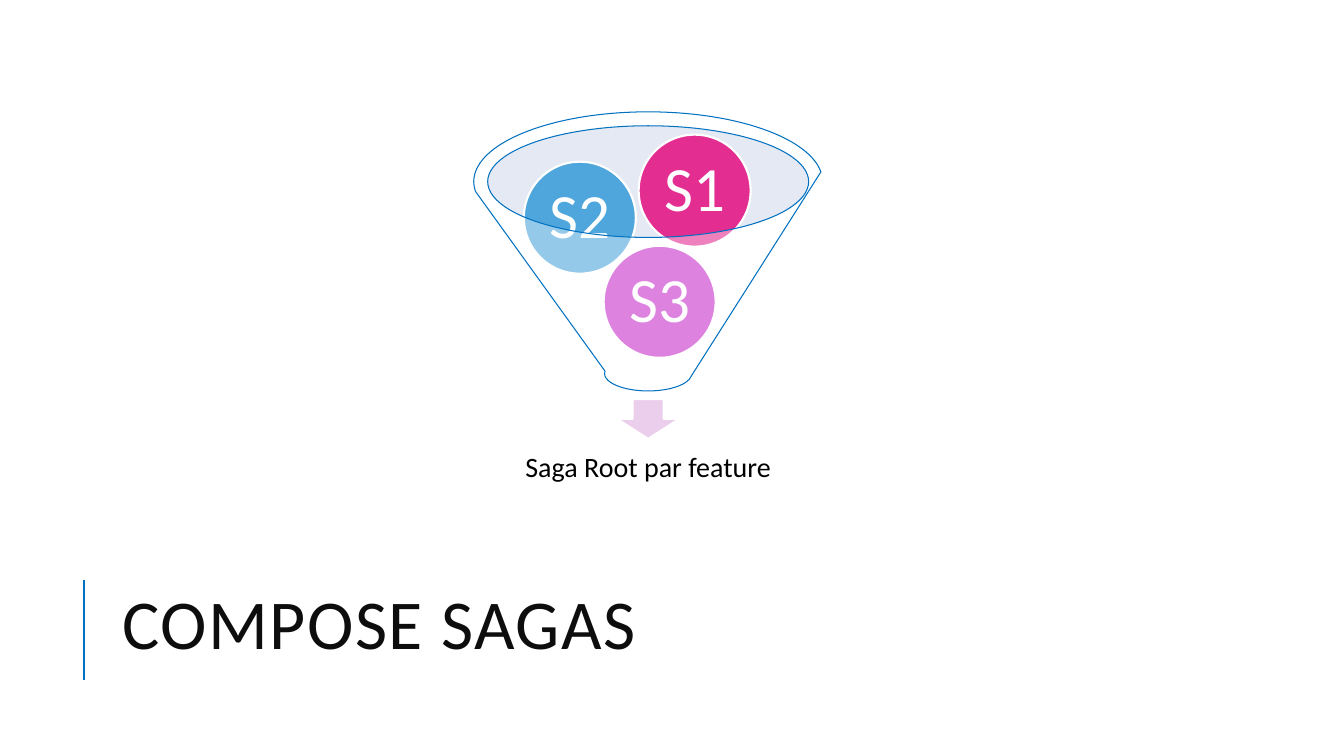
from dataclasses import dataclass

from lxml.etree import SubElement
from pptx import Presentation
from pptx.dml.color import RGBColor
from pptx.enum.shapes import MSO_CONNECTOR, MSO_SHAPE
from pptx.enum.text import MSO_ANCHOR, PP_ALIGN
from pptx.oxml.ns import qn
from pptx.util import Pt

TITLE = "COMPOSE SAGAS"
RESULT = "Saga Root par feature"
SAGAS = [
    ("S3", 431.2, 175.6, "C830CC"),
    ("S2", 374.2, 115.5, "4EA6DC"),
    ("S1", 456.2, 96.2, "E32D91"),
]


@dataclass(frozen=True)
class Theme:
    font: str = "Calibri"
    ink: str = "0D0D0D"
    black: str = "000000"
    white: str = "FFFFFF"
    accent: str = "0070C0"
    mouth: str = "BDC9E2"
    arrow: str = "EBCDEC"
    title_size: int = 50
    saga_size: int = 45
    result_size: int = 20
    thin: float = 0.75
    thick: float = 1.5
    opacity: int = 40


THEME = Theme()
AXIS = 463
SAGA_SIZE = 80


def apply(target, values):
    for name, value in values.items():
        setattr(target, name, value)


def centred(width, top, height):
    return AXIS - width / 2, top, width, height


def place(target, bounds):
    sides = ("left", "top", "width", "height")
    apply(target, {side: Pt(value) for side, value in zip(sides, bounds)})


def write(shape, text, size, color, align, spacing, inset=0):
    frame = shape.text_frame
    apply(frame, {"word_wrap": True, "vertical_anchor": MSO_ANCHOR.MIDDLE})
    for side in ("left", "top", "right", "bottom"):
        setattr(frame, f"margin_{side}", Pt(inset))
    para = frame.paragraphs[0]
    apply(para, {"alignment": align, "line_spacing": spacing})
    span = para.add_run()
    span.text = text
    apply(span.font, {"name": THEME.font, "size": Pt(size)})
    span.font.color.rgb = RGBColor.from_string(color)
    return span


def add_preset(page, preset, bounds, fill, line=None, weight=0, opacity=100):
    shape = page.shapes.add_shape(preset, *map(Pt, bounds))
    shape.shadow.inherit = False
    shape.fill.solid()
    shape.fill.fore_color.rgb = RGBColor.from_string(fill)
    if opacity < 100:
        color = shape.fill._xPr.find(qn("a:solidFill"))[0]
        SubElement(color, qn("a:alpha"), val=str(opacity * 1000))
    if line:
        shape.line.color.rgb = RGBColor.from_string(line)
        shape.line.width = Pt(weight)
    else:
        shape.line.fill.background()
    return shape


def add_title(page):
    title = page.shapes.title
    place(title, (80.6, 390.2, 765.4, 118.1))
    span = write(title, TITLE, THEME.title_size, THEME.ink, PP_ALIGN.LEFT, 0.8, 7.2)
    span.font._element.set("spc", "100")
    rule = page.shapes.add_connector(
        MSO_CONNECTOR.STRAIGHT, Pt(60), Pt(486), Pt(60), Pt(414)
    )
    rule.line.color.rgb = RGBColor.from_string(THEME.accent)
    rule.line.width = Pt(THEME.thick)
    SubElement(rule._element.spPr, qn("a:effectLst"))


def add_funnel(page):
    add_preset(page, MSO_SHAPE.OVAL, centred(229.6, 90, 80), THEME.mouth,
               opacity=THEME.opacity)
    add_preset(page, MSO_SHAPE.DOWN_ARROW, centred(44.5, 285, 28.5),
               THEME.arrow, THEME.white, THEME.thick)
    result = page.shapes.add_textbox(*map(Pt, centred(213.6, 307.6, 53.4)))
    write(result, RESULT, THEME.result_size, THEME.black, PP_ALIGN.CENTER, 0.9, 11.5)
    for name, left, top, color in SAGAS:
        saga = add_preset(page, MSO_SHAPE.OVAL, (left, top, SAGA_SIZE, SAGA_SIZE),
                          color, THEME.white, THEME.thick)
        write(saga, name, THEME.saga_size, THEME.white, PP_ALIGN.CENTER, 0.9)
    add_preset(page, MSO_SHAPE.FUNNEL, centred(249.2, 79.9, 199.4),
               THEME.white, THEME.accent, THEME.thin, THEME.opacity)


def main():
    deck = Presentation()
    apply(deck, {"slide_width": Pt(960), "slide_height": Pt(540)})
    page = deck.slides.add_slide(deck.slide_layouts[5])
    page.background.fill.solid()
    page.background.fill.fore_color.rgb = RGBColor.from_string(THEME.white)
    add_title(page)
    add_funnel(page)
    deck.save("out.pptx")


if __name__ == "__main__":
    main()
